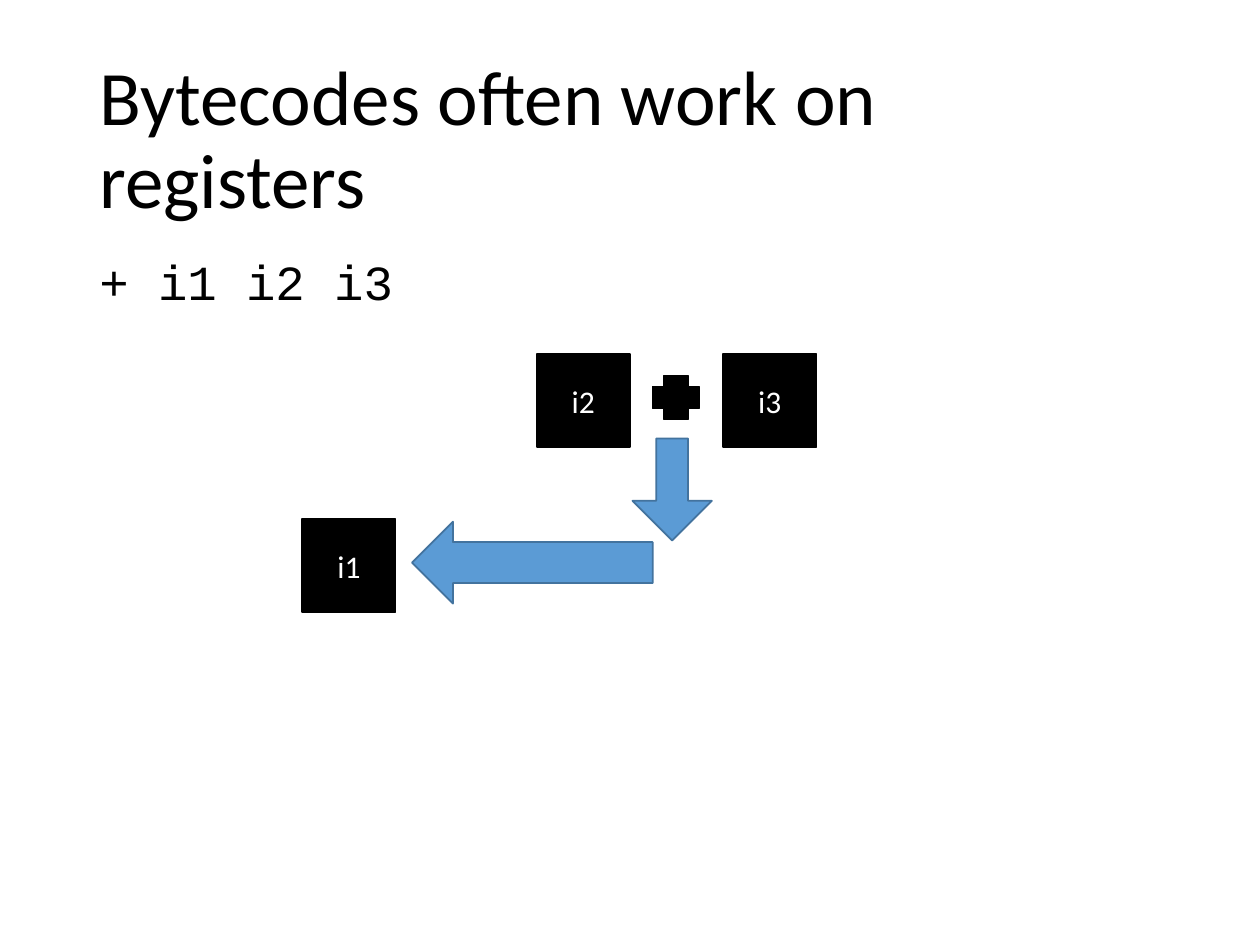
from pptx import Presentation
from pptx.dml.color import RGBColor
from pptx.enum.shapes import MSO_SHAPE
from pptx.enum.text import MSO_ANCHOR, PP_ALIGN
from pptx.util import Inches, Pt

BLACK, WHITE, BLUE, EDGE = "000000", "FFFFFF", "5B9BD5", "43739E"
SIDE = 0.74

TITLE = "Bytecodes often work on registers"
CODE = "+ i1 i2 i3"
REGISTERS = [("i1", 2.4, 4.12), ("i2", 4.26, 2.81), ("i3", 5.74, 2.81)]
SYMBOLS = [
    # shape, box, adjustments, fill, line
    (MSO_SHAPE.DOWN_ARROW, (5.02, 3.48, 0.63, 0.81), (0.4, 0.5), BLUE, EDGE),
    (MSO_SHAPE.LEFT_ARROW, (3.27, 4.14, 1.91, 0.65), (0.5, 0.5), BLUE, EDGE),
    (MSO_SHAPE.CROSS, (5.18, 2.98, 0.37, 0.35), (0.25,), BLACK, BLACK),
]


def color(code):
    return RGBColor.from_string(code)


def write(shape, text, size=18, font="Calibri", ink=BLACK,
          align=PP_ALIGN.LEFT, anchor=MSO_ANCHOR.MIDDLE, spacing=1.0, before=0):
    frame = shape.text_frame
    frame.word_wrap = True
    frame.vertical_anchor = anchor
    para = frame.paragraphs[0]
    para.alignment = align
    para.line_spacing = spacing
    para.space_before = Pt(before)
    run = para.add_run()
    run.text = text
    run.font.size = Pt(size)
    run.font.name = font
    run.font.color.rgb = color(ink)


def draw(slide, kind, box, fill, line):
    shape = slide.shapes.add_shape(kind, *map(Inches, box))
    shape.shadow.inherit = False
    shape.fill.solid()
    shape.fill.fore_color.rgb = color(fill)
    shape.line.color.rgb = color(line)
    shape.line.width = Pt(1)
    return shape


def main():
    deck = Presentation()
    deck.slide_width, deck.slide_height = Inches(10), Inches(7.5)
    slide = deck.slides.add_slide(deck.slide_layouts[6])

    title = slide.shapes.add_textbox(*map(Inches, (0.69, 0.4, 8.62, 1.45)))
    write(title, TITLE, size=44, spacing=0.9)
    body = slide.shapes.add_textbox(*map(Inches, (0.69, 2, 8.62, 4.76)))
    write(body, CODE, size=28, font="Courier New", anchor=MSO_ANCHOR.TOP,
          spacing=0.9, before=10)

    for name, left, top in REGISTERS:
        square = draw(slide, MSO_SHAPE.RECTANGLE, (left, top, SIDE, SIDE),
                      BLACK, BLACK)
        write(square, name, ink=WHITE, align=PP_ALIGN.CENTER)

    for kind, box, ratios, fill, line in SYMBOLS:
        shape = draw(slide, kind, box, fill, line)
        for i, ratio in enumerate(ratios):
            shape.adjustments[i] = ratio

    deck.save("out.pptx")


if __name__ == "__main__":
    main()
